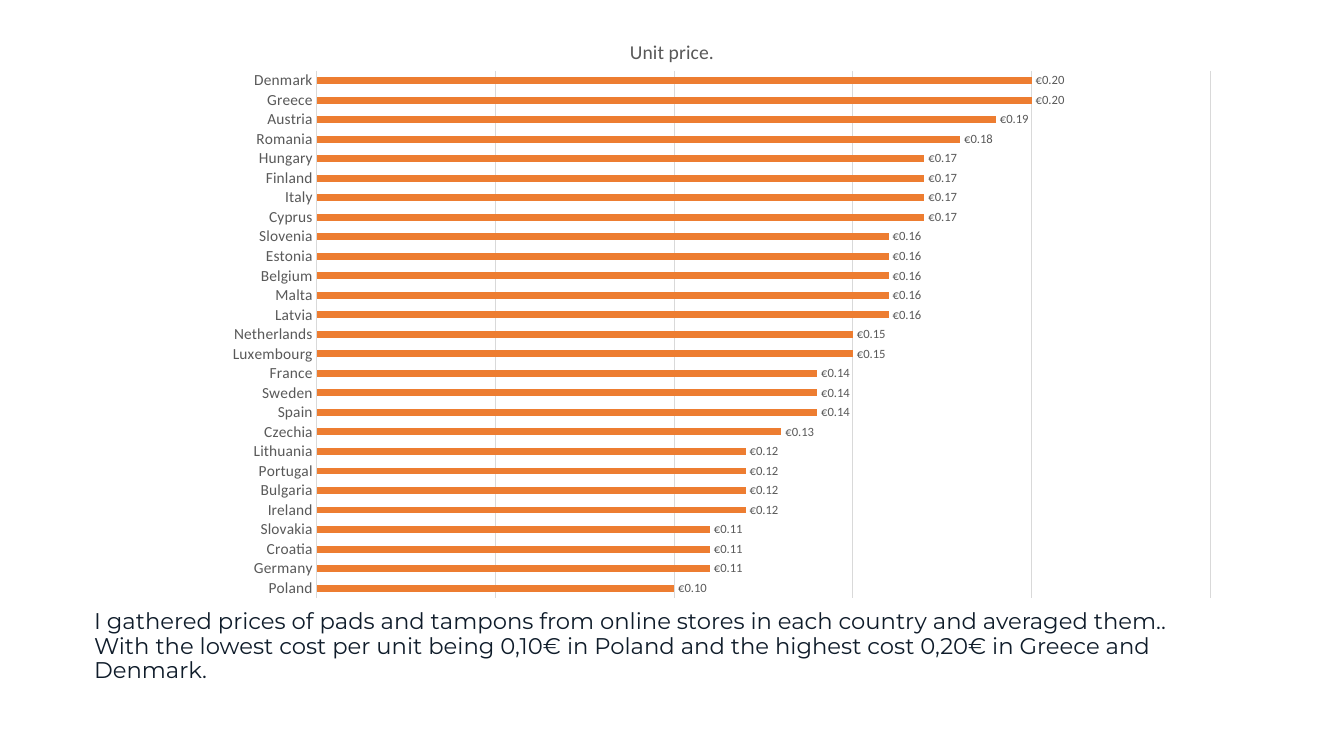
"""Build a slide with a bar chart of unit prices by country and its caption."""
from lxml.etree import SubElement as Sub
from pptx import Presentation
from pptx.chart.data import CategoryChartData as Data
from pptx.dml.color import RGBColor as Color
from pptx.enum.chart import XL_CHART_TYPE as Kind, XL_LABEL_POSITION as Spot
from pptx.enum.chart import XL_TICK_MARK as Tick
from pptx.enum.text import MSO_ANCHOR as Anchor, PP_ALIGN as Align
from pptx.oxml.ns import qn
from pptx.util import Pt

HEAD = "Unit price."
NOTE = (
    "I gathered prices of pads and tampons from online stores in each country "
    "and averaged them..\vWith the lowest cost per unit being 0,10€ in Poland "
    "and the highest cost 0,20€ in Greece and Denmark."
)
COSTS = [
    ("Poland", 0.10), ("Germany", 0.11), ("Croatia", 0.11),
    ("Slovakia", 0.11), ("Ireland", 0.12), ("Bulgaria", 0.12),
    ("Portugal", 0.12), ("Lithuania", 0.12), ("Czechia", 0.13),
    ("Spain", 0.14), ("Sweden", 0.14), ("France", 0.14),
    ("Luxembourg", 0.15), ("Netherlands", 0.15), ("Latvia", 0.16),
    ("Malta", 0.16), ("Belgium", 0.16), ("Estonia", 0.16),
    ("Slovenia", 0.16), ("Cyprus", 0.17), ("Italy", 0.17),
    ("Finland", 0.17), ("Hungary", 0.17), ("Romania", 0.18),
    ("Austria", 0.19), ("Greece", 0.20), ("Denmark", 0.20),
]
HUES = {"bar": "ED7D31", "grid": "D9D9D9", "label": "595959", "note": "0F1C2A"}
EURO = '"€"0.00'
PLOT = {"x": 0.19, "y": 0.09, "w": 0.78, "h": 0.88}
SCALE = 914400 / 100.8


def px(*nums):
    return [round(n * SCALE) for n in nums]


def hue(name):
    return Color.from_string(HUES[name])


def style(font, size, tone="label", face="Calibri"):
    font.size, font.name, font.bold = Pt(size), face, False
    font.color.rgb = hue(tone)


def write(frame, text, size, align=Align.CENTER, gap=1.0, **look):
    frame.text = text
    para = frame.paragraphs[0]
    para.alignment, para.line_spacing = align, gap
    for run in para.runs:
        style(run.font, size, **look)


def rule(line):
    line.color.rgb = hue("grid")
    line.width = Pt(0.75)


def place(chart):
    area = chart._chartSpace.chart.plotArea
    for old in area.findall(qn("c:layout")):
        area.remove(old)
    box = Sub(area, qn("c:layout"))
    area.insert(0, box)
    man = Sub(box, qn("c:manualLayout"))
    modes = {"layoutTarget": "inner", "xMode": "edge", "yMode": "edge"}
    for key, val in {**modes, **PLOT}.items():
        Sub(man, qn("c:" + key)).set("val", str(val))


def draw(slide):
    data = Data(number_format=EURO)
    data.categories = [land for land, cost in COSTS]
    data.add_series("Series 1", [cost for land, cost in COSTS])
    frame = slide.shapes.add_chart(
        Kind.BAR_CLUSTERED, *px(99, 17, 1146, 599), data)
    chart = frame.chart
    style(chart.font, 10)
    chart.has_legend = False
    chart.has_title = True
    write(chart.chart_title.text_frame, HEAD, 14)
    chart.chart_title.include_in_layout = False
    place(chart)

    lands, costs = chart.category_axis, chart.value_axis
    lands.major_tick_mark = lands.minor_tick_mark = Tick.NONE
    style(lands.tick_labels.font, 11)
    rule(lands.format.line)
    costs.minimum_scale, costs.maximum_scale = 0, 0.25
    costs.major_unit = 0.05
    costs.has_major_gridlines = True
    rule(costs.major_gridlines.format.line)
    costs.visible = False

    plot = chart.plots[0]
    plot.gap_width, plot.vary_by_categories = 182, False
    fill = plot.series[0].format.fill
    fill.solid()
    fill.fore_color.rgb = hue("bar")
    plot.has_data_labels = True
    tags = plot.data_labels
    tags.show_value, tags.position = True, Spot.OUTSIDE_END
    tags.number_format, tags.number_format_is_linked = EURO, False
    style(tags.font, 9)


deck = Presentation()
deck.slide_width, deck.slide_height = px(1344, 756)
slide = deck.slides.add_slide(deck.slide_layouts[5])
title = slide.shapes.title
title.left, title.top, title.width, title.height = px(84, 601, 1159, 92)
title.text_frame.word_wrap = True
title.text_frame.vertical_anchor = Anchor.MIDDLE
write(title.text_frame, NOTE, 16.2, align=Align.LEFT, gap=0.9,
      tone="note", face="Montserrat")
draw(slide)
deck.save("out.pptx")
